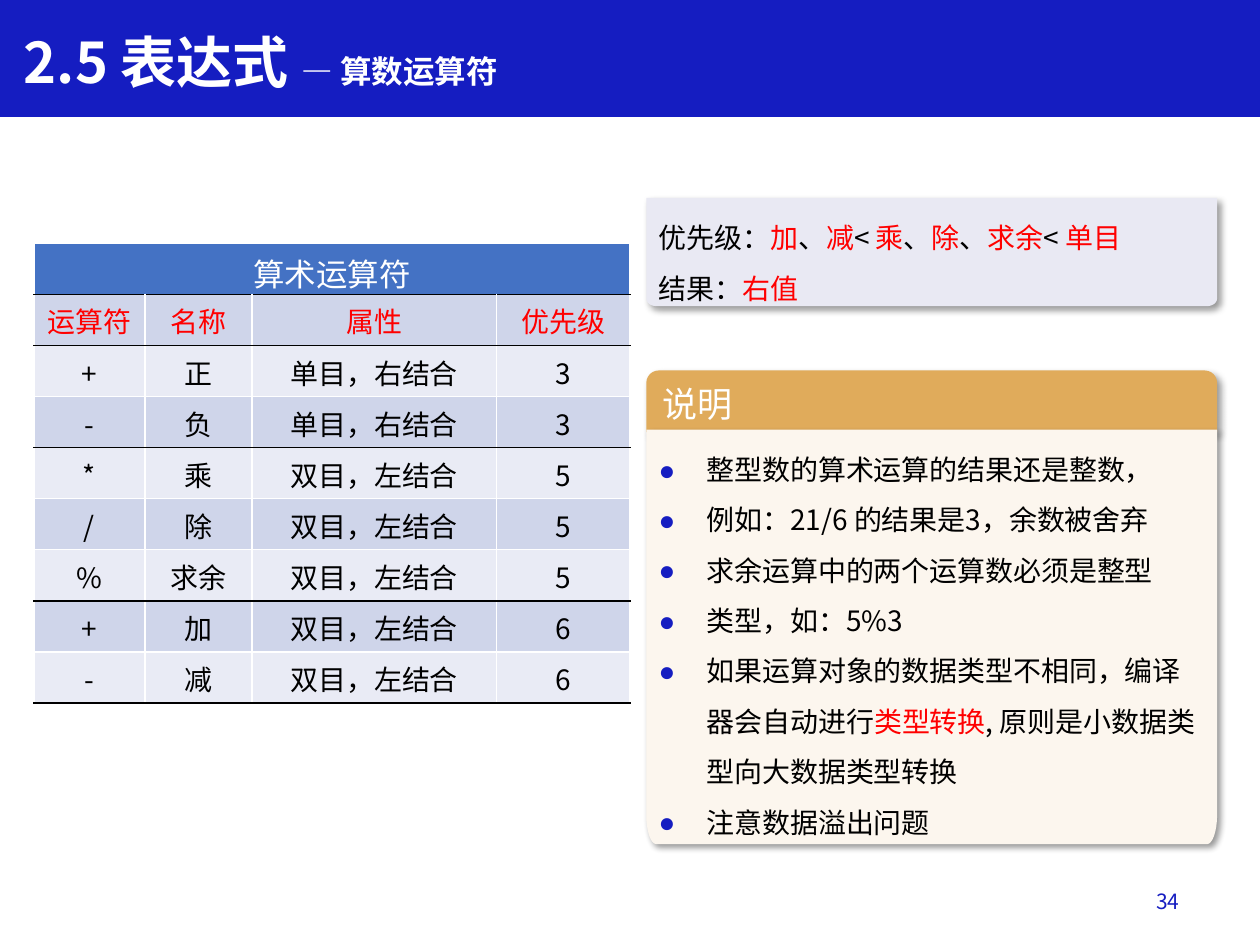
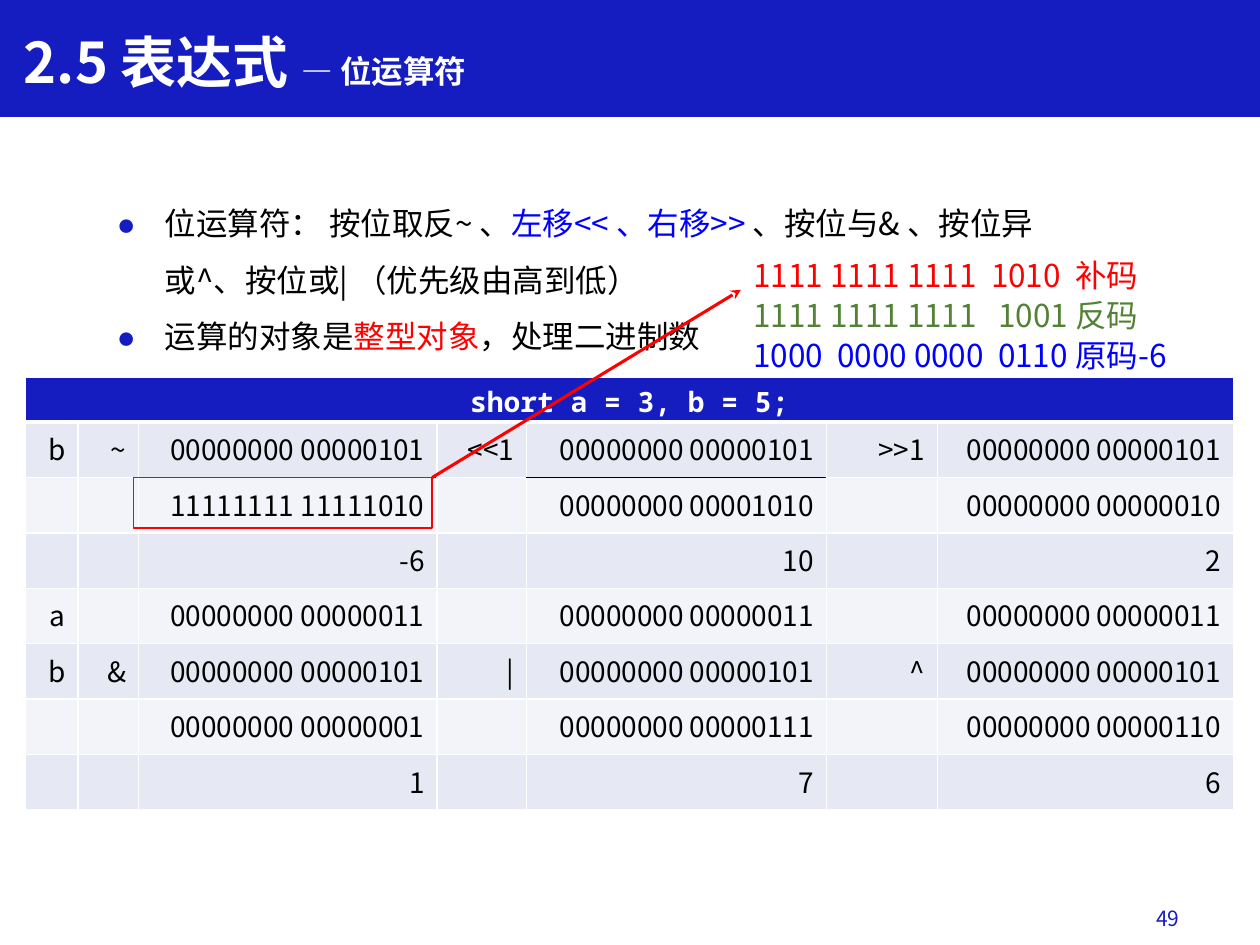
from math import cos, pi, sin

from lxml import etree
from pptx import Presentation
from pptx.dml.color import RGBColor
from pptx.enum.shapes import MSO_CONNECTOR, MSO_SHAPE
from pptx.enum.text import MSO_ANCHOR, PP_ALIGN
from pptx.oxml.ns import qn
from pptx.util import Inches, Pt

LEFT, CENTER, RIGHT = PP_ALIGN.LEFT, PP_ALIGN.CENTER, PP_ALIGN.RIGHT
TOP, MIDDLE = MSO_ANCHOR.TOP, MSO_ANCHOR.MIDDLE
RECTANGLE = MSO_SHAPE.RECTANGLE
TAB = MSO_SHAPE.ROUND_2_SAME_RECTANGLE
STRAIGHT = MSO_CONNECTOR.STRAIGHT

SANS = "Noto Sans CJK SC"
MONO = "Noto Sans Mono"
COLORS = {
    "navy": "151DC1",
    "white": "FFFFFF",
    "black": "000000",
    "red": "FF0000",
    "blue": "0000FF",
    "green": "548235",
    "gold": "E0AB5B",
    "cream": "FCF6EE",
    "lavender": "E9E9F3",
    "header": "4472C4",
    "dark band": "CFD5EA",
    "light band": "E9EBF5",
}
BANDS = ("dark band", "light band")


def color(name):
    return RGBColor.from_string(COLORS[name])


def add_element(parent, tag, **attributes):
    element = etree.SubElement(parent, qn(tag))
    for key, value in attributes.items():
        element.set(key, str(value))
    return element


class Lecture:
    def __init__(self):
        self.deck = Presentation()
        self.deck.slide_width = Inches(10)
        self.deck.slide_height = Inches(7.5)
        self.page = None

    def start_page(self, topic, number, number_top):
        self.page = self.deck.slides.add_slide(self.deck.slide_layouts[6])
        band = self.shape(RECTANGLE, (0, 0, 10, 0.92), "navy")
        band.line.color.rgb = color("navy")
        band.line.width = Pt(1)
        title = self.text((0.09, 0.17, 6.71, 0.64),
                          [[("2.5 表达式 ", "white"), (f"— {topic}", "white")]], 32)
        for span in title.text_frame.paragraphs[0].runs:
            span.font.bold = True
        span.font.size = Pt(18)
        self.text((7.21, number_top, 2.25, 0.4), [[(number, "navy")]], 12,
                  align=RIGHT, anchor=MIDDLE)

    def style_run(self, span, size, ink, font=SANS):
        span.font.size = Pt(size)
        span.font.name = font
        span.font.color.rgb = color(ink)
        add_element(span.font._element, "a:ea", typeface=font)

    def fill_frame(self, frame, paragraphs, size, align=LEFT, anchor=TOP,
                   spacing=1, bullets=False):
        frame.word_wrap = True
        frame.vertical_anchor = anchor
        for index, spans in enumerate(paragraphs):
            para = frame.add_paragraph() if index else frame.paragraphs[0]
            para.alignment = align
            para.line_spacing = spacing
            if bullets:
                self.bullet(para)
            for words, ink in spans:
                span = para.add_run()
                span.text = words
                self.style_run(span, size, ink)

    def bullet(self, para):
        properties = para._p.get_or_add_pPr()
        properties.set("marL", str(Inches(0.38)))
        properties.set("indent", str(-Inches(0.38)))
        tint = add_element(properties, "a:buClr")
        add_element(tint, "a:srgbClr", val=COLORS["navy"])
        add_element(properties, "a:buFont", typeface=MONO)
        add_element(properties, "a:buChar", char="●")

    def text(self, place, paragraphs, size, **layout):
        box = self.page.shapes.add_textbox(*map(Inches, place))
        self.fill_frame(box.text_frame, paragraphs, size, **layout)
        return box

    def paint(self, shape, fill, shadow):
        shape.shadow.inherit = False
        shape.line.fill.background()
        if fill:
            shape.fill.solid()
            shape.fill.fore_color.rgb = color(fill)
        else:
            shape.fill.background()
        if shadow:
            effects = shape._element.spPr.find(qn("a:effectLst"))
            outer = add_element(effects, "a:outerShdw", blurRad=Pt(4), dist=Pt(3),
                                dir=45 * 60000, algn="tl", rotWithShape=0)
            tint = add_element(outer, "a:srgbClr", val=COLORS["black"])
            add_element(tint, "a:alpha", val=40000)

    def shape(self, kind, place, fill=None, shadow=False):
        shape = self.page.shapes.add_shape(kind, *map(Inches, place))
        self.paint(shape, fill, shadow)
        return shape

    def panel(self, place, corner_height, fill, paragraphs, **layout):
        left, top, width, height = place
        right, bottom, corner_width = left + width, top + height, 0.08
        angles = [step * pi / 16 for step in range(9)]
        right_corner = [(right - corner_width * (1 - cos(angle)),
                         bottom - corner_height * (1 - sin(angle))) for angle in angles]
        left_corner = [(left + right - x, y) for x, y in reversed(right_corner)]
        outline = [(right, top)] + right_corner + left_corner
        builder = self.page.shapes.build_freeform(Inches(left), Inches(top))
        builder.add_line_segments([(Inches(x), Inches(y)) for x, y in outline])
        shape = builder.convert_to_shape()
        self.paint(shape, fill, True)
        self.fill_frame(shape.text_frame, paragraphs, 16, spacing=1.5, **layout)

    def arrow(self, start, end, ink, width):
        line = self.page.shapes.add_connector(STRAIGHT, *map(Inches, start + end))
        line.line.color.rgb = color(ink)
        line.line.width = Pt(width)
        add_element(line.line._get_or_add_ln(), "a:tailEnd", type="stealth")
        add_element(line._element.spPr, "a:effectLst")

    def table(self, place, widths, heights, rows, look, rule_below):
        frame = self.page.shapes.add_table(len(rows), len(widths), *map(Inches, place))
        table = frame.table
        table.first_row = table.horz_banding = False
        for column, width in zip(table.columns, widths):
            column.width = Inches(width)
        for row, height in zip(table.rows, heights):
            row.height = Inches(height)
        for row, values in enumerate(rows):
            for column in range(len(widths)):
                cell = table.cell(row, column)
                self.borders(cell, rule_below(row - 1, column), rule_below(row, column))
                style = look(row)
                self.fill_cell(cell, style["fill"], style.get("alpha"))
                words = values[column] if column < len(values) else ""
                self.write_cell(cell, words, style)
        table.cell(0, 0).merge(table.cell(0, len(widths) - 1))

    def write_cell(self, cell, words, style):
        cell.margin_bottom = 0
        cell.text_frame.text = words
        para = cell.text_frame.paragraphs[0]
        para.alignment = style["align"]
        for span in para.runs:
            self.style_run(span, style["size"], style["ink"], style.get("font", SANS))
            span.font.bold = style.get("bold", False)

    def fill_cell(self, cell, fill, alpha):
        cell.fill.solid()
        cell.fill.fore_color.rgb = color(fill)
        if alpha:
            tint = cell._tc.tcPr.find(f"{qn('a:solidFill')}/{qn('a:srgbClr')}")
            add_element(tint, "a:alpha", val=alpha * 1000)

    def borders(self, cell, above, below):
        properties = cell._tc.get_or_add_tcPr()
        side = ("white", 1)
        for edge, (ink, width) in zip("LRTB", (side, side, above, below)):
            line = add_element(properties, f"a:ln{edge}", w=Pt(width))
            fill = add_element(line, "a:solidFill")
            add_element(fill, "a:srgbClr", val=COLORS[ink])


def arithmetic_look(row):
    if row == 0:
        return {"fill": "header", "ink": "white", "size": 18, "align": CENTER}
    return {"fill": BANDS[(row - 1) % 2], "ink": "red" if row == 1 else "black",
            "size": 16, "align": CENTER}


def arithmetic_rule(row, column):
    return ("black" if row in (0, 1, 3, 6, 8) else "white", 1)


def bitwise_look(row):
    if row == 0:
        return {"fill": "navy", "ink": "white", "size": 16, "align": CENTER,
                "font": MONO, "bold": True}
    return {"fill": BANDS[(row - 1) % 2], "alpha": 50, "ink": "black",
            "size": 16, "align": RIGHT}


def bitwise_rule(row, column):
    if row == 0:
        return ("white", 3)
    return ("black" if row == 1 and column in (2, 4) else "white", 1)


def arithmetic_page(lecture):
    lecture.start_page("算数运算符", "34", 6.95)
    heading = lecture.shape(TAB, (5.13, 2.94, 4.53, 0.49), "gold", shadow=True)
    heading.adjustments[0] = 0.2
    heading.adjustments[1] = 0
    lecture.fill_frame(heading.text_frame, [[("说明", "white")]], 20, anchor=MIDDLE)
    lecture.panel((5.13, 3.41, 4.53, 3.29), 0.23, "cream", [
        [("整型数的算术运算的结果还是整数，", "black")],
        [("例如：21/6 的结果是3，余数被舍弃", "black")],
        [("求余运算中的两个运算数必须是整型", "black")],
        [("类型，如：5%3", "black")],
        [("如果运算对象的数据类型不相同，编译器会自动进行", "black"),
         ("类型转换", "red"), (", 原则是小数据类型向大数据类型转换", "black")],
        [("注意数据溢出问题", "black")],
    ], bullets=True)
    lecture.panel((5.13, 1.57, 4.53, 0.86), 0.06, "lavender", [
        [("优先级：", "black"), ("加", "red"), ("、", "black"), ("减", "red"),
         ("< ", "black"), ("乘", "red"), ("、", "black"), ("除", "red"),
         ("、", "black"), ("求余", "red"), ("< ", "black"), ("单目", "red")],
        [("结果：", "black"), ("右值", "red")],
    ])
    unary, binary = "单目，右结合", "双目，左结合"
    lecture.table((0.27, 1.93, 4.73, 3.65), (0.88, 0.85, 1.94, 1.06), [3.65 / 9] * 9, [
        ("算术运算符",),
        ("运算符", "名称", "属性", "优先级"),
        ("+", "正", unary, "3"),
        ("-", "负", unary, "3"),
        ("*", "乘", binary, "5"),
        ("/", "除", binary, "5"),
        ("%", "求余", binary, "5"),
        ("+", "加", binary, "6"),
        ("-", "减", binary, "6"),
    ], arithmetic_look, arithmetic_rule)


def bitwise_page(lecture):
    lecture.start_page("位运算符", "49", 7.09)
    lecture.text((0.83, 1.42, 7.56, 1.41), [
        [("位运算符： 按位取反~ 、", "black"), ("左移<< 、右移>> ", "blue"),
         ("、按位与& 、按位异或^、按位或| （优先级由高到低）", "black")],
        [("运算的对象是", "black"), ("整型对象", "red"), ("，处理二进制数", "black")],
    ], 18, spacing=1.5, bullets=True)
    three, five = "00000000 00000011", "00000000 00000101"
    lecture.table((0.2, 2.99, 9.6, 3.46), (0.42, 0.48, 2.37, 0.71, 2.38, 0.88, 2.35),
                  [0.36] + [0.44] * 7, [
        ("short a = 3, b = 5;",),
        ("b", "~", five, "<<1", five, ">>1", five),
        ("", "", "11111111 11111010", "", "00000000 00001010", "", "00000000 00000010"),
        ("", "", "-6", "", "10", "", "2"),
        ("a", "", three, "", three, "", three),
        ("b", "&", five, "|", five, "^", five),
        ("", "", "00000000 00000001", "", "00000000 00000111", "", "00000000 00000110"),
        ("", "", "1", "", "7", "", "6"),
    ], bitwise_look, bitwise_rule)
    codes = (("1111 1111 1111  1010  补码", "red"),
             ("1111 1111 1111   1001 反码", "green"),
             ("1000  0000 0000  0110 原码-6", "blue"))
    for index, code in enumerate(codes):
        lecture.text((5.88, 1.98 + 0.32 * index, 4, 0.4), [[code]], 18)
    result_frame = lecture.shape(RECTANGLE, (1.06, 3.79, 2.37, 0.4))
    result_frame.line.color.rgb = color("red")
    result_frame.line.width = Pt(1)
    lecture.arrow((3.43, 3.79), (5.88, 2.3), "red", 1.75)


def main():
    lecture = Lecture()
    arithmetic_page(lecture)
    bitwise_page(lecture)
    lecture.deck.save("out.pptx")


if __name__ == "__main__":
    main()
